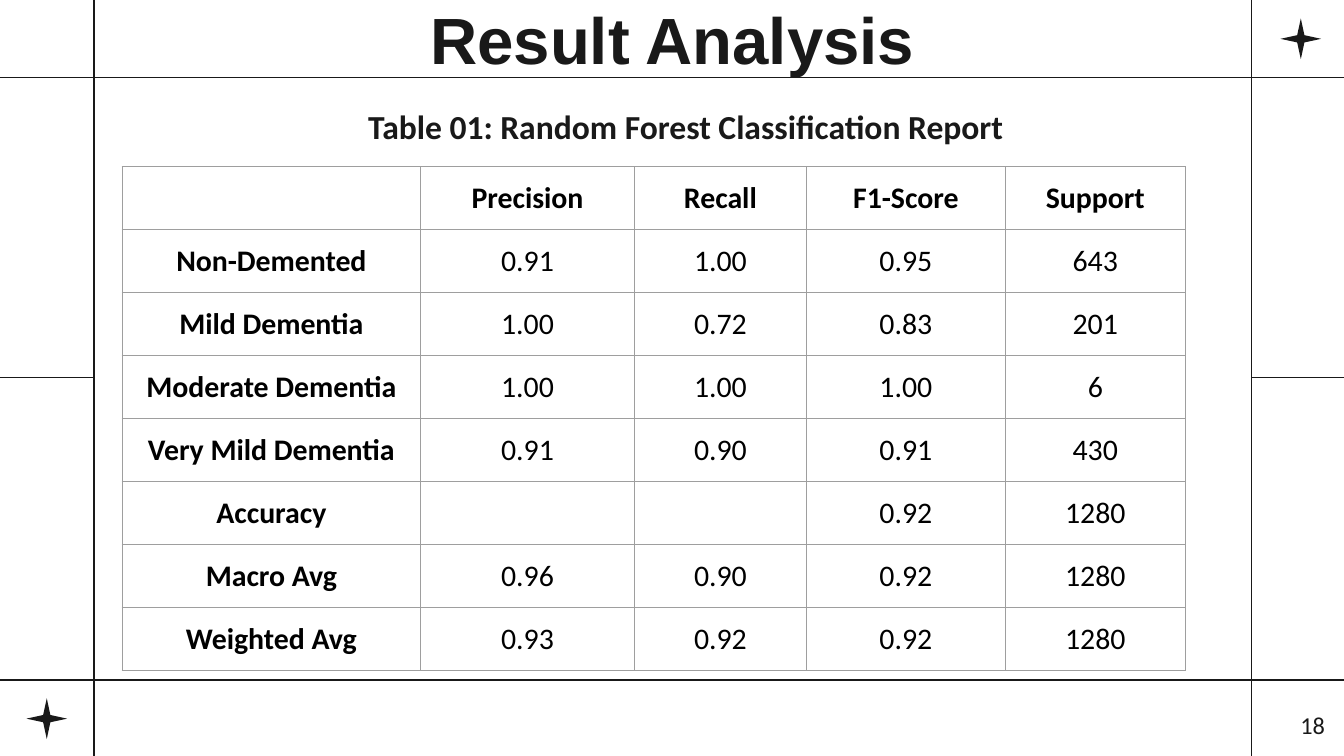
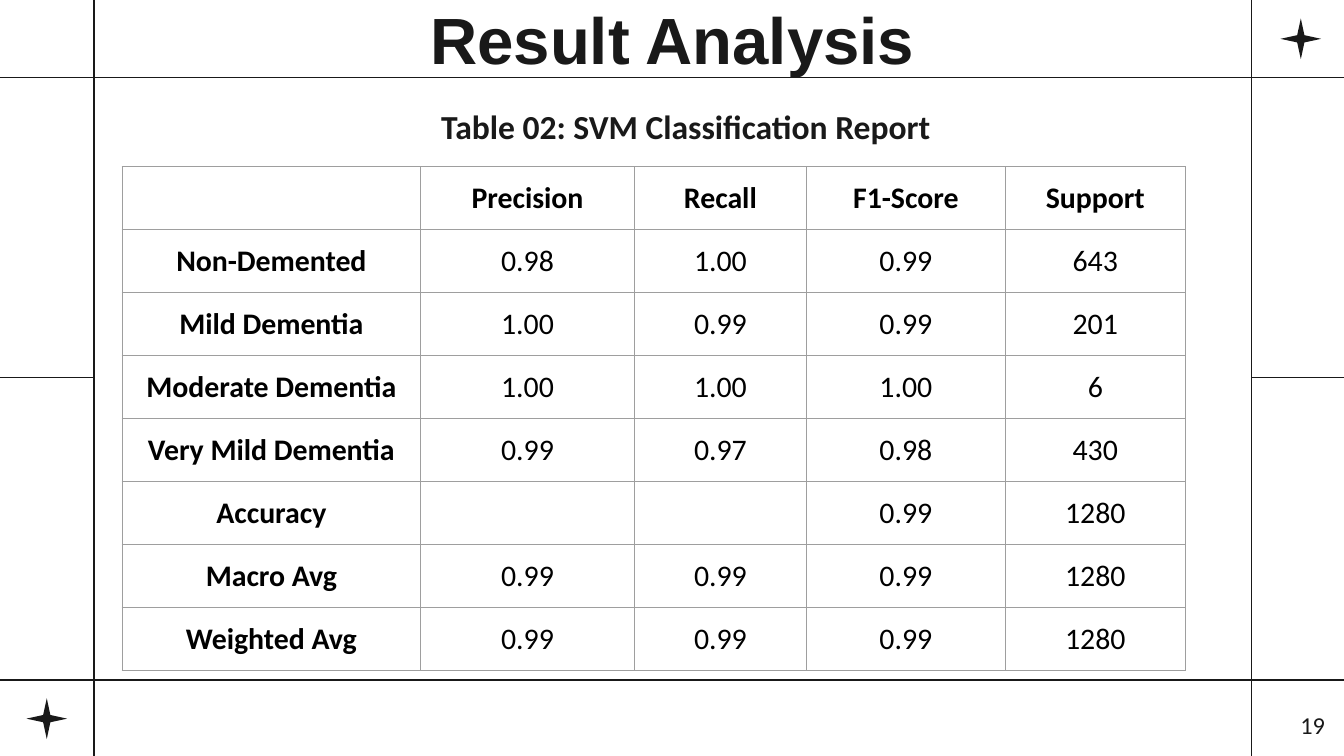
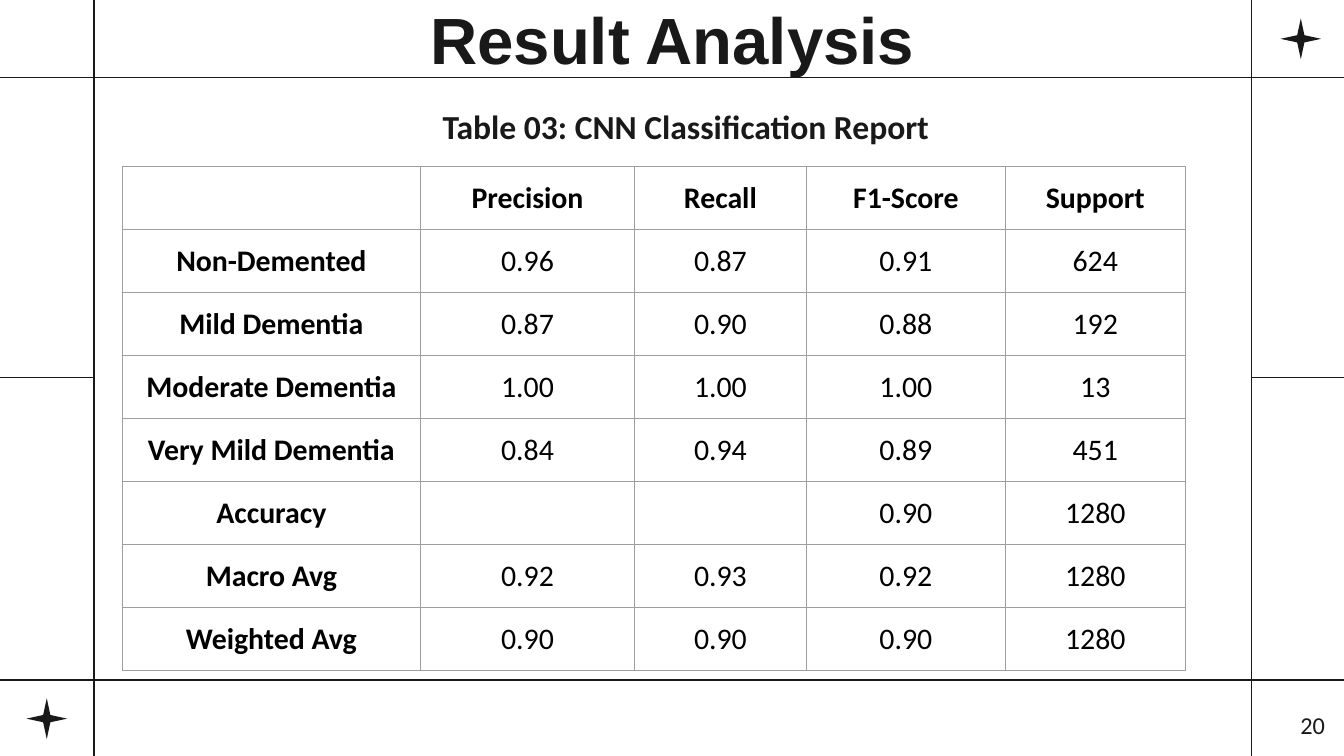
from lxml import etree
from pptx import Presentation
from pptx.dml.color import RGBColor
from pptx.enum.shapes import MSO_CONNECTOR, MSO_SHAPE
from pptx.enum.text import MSO_ANCHOR, MSO_AUTO_SIZE, PP_ALIGN
from pptx.oxml.ns import qn
from pptx.util import Cm, Pt

CENTER = PP_ALIGN.CENTER
RIGHT = PP_ALIGN.RIGHT
MIDDLE = MSO_ANCHOR.MIDDLE
TOP = MSO_ANCHOR.TOP
NO_AUTOFIT = MSO_AUTO_SIZE.NONE
STRAIGHT = MSO_CONNECTOR.STRAIGHT
STAR = MSO_SHAPE.STAR_4_POINT

INK = "191919"
BLACK = "000000"
GRID = "9E9E9E"
WHITE = "FFFFFF"
HEADING_FONT = "Arial"
BODY_FONT = "Calibri"

WIDTH, HEIGHT = 25.4, 14.29
LEFT_RULE, RIGHT_RULE = 1.78, 23.65
TOP_RULE, MIDDLE_RULE, BOTTOM_RULE = 1.47, 7.14, 12.85
FRAME_LINES = [
    (LEFT_RULE, 0, LEFT_RULE, HEIGHT),
    (RIGHT_RULE, 0, RIGHT_RULE, HEIGHT),
    (0, TOP_RULE, WIDTH, TOP_RULE),
    (0, MIDDLE_RULE, LEFT_RULE, MIDDLE_RULE),
    (RIGHT_RULE, MIDDLE_RULE, WIDTH, MIDDLE_RULE),
    (0, BOTTOM_RULE, WIDTH, BOTTOM_RULE),
]
STAR_CORNERS = [(24.2, 0.35), (0.5, 13.2)]
STAR_SIZE = 0.77
INSET = 0.25

COLUMN_WIDTHS = [5.64, 4.04, 3.25, 3.76, 3.4]
ROW_HEIGHT = 1.07
HEADINGS = ["", "Precision", "Recall", "F1-Score", "Support"]
ROW_LABELS = [
    "Non-Demented", "Mild Dementia", "Moderate Dementia", "Very Mild Dementia",
    "Accuracy", "Macro Avg", "Weighted Avg",
]
FIRST_PAGE_NUMBER = 18
REPORTS = [
    ("Table 01: Random Forest Classification Report", [
        ["0.91", "1.00", "0.95", "643"],
        ["1.00", "0.72", "0.83", "201"],
        ["1.00", "1.00", "1.00", "6"],
        ["0.91", "0.90", "0.91", "430"],
        ["", "", "0.92", "1280"],
        ["0.96", "0.90", "0.92", "1280"],
        ["0.93", "0.92", "0.92", "1280"],
    ]),
    ("Table 02: SVM Classification Report", [
        ["0.98", "1.00", "0.99", "643"],
        ["1.00", "0.99", "0.99", "201"],
        ["1.00", "1.00", "1.00", "6"],
        ["0.99", "0.97", "0.98", "430"],
        ["", "", "0.99", "1280"],
        ["0.99", "0.99", "0.99", "1280"],
        ["0.99", "0.99", "0.99", "1280"],
    ]),
    ("Table 03: CNN Classification Report", [
        ["0.96", "0.87", "0.91", "624"],
        ["0.87", "0.90", "0.88", "192"],
        ["1.00", "1.00", "1.00", "13"],
        ["0.84", "0.94", "0.89", "451"],
        ["", "", "0.90", "1280"],
        ["0.92", "0.93", "0.92", "1280"],
        ["0.90", "0.90", "0.90", "1280"],
    ]),
]


def color(value):
    return RGBColor.from_string(value)


def set_insets(target):
    target.margin_left = target.margin_right = Cm(INSET)
    target.margin_top = target.margin_bottom = Cm(INSET)


def write(frame, text, size, bold=False, align=CENTER, font=BODY_FONT, ink=INK):
    para = frame.paragraphs[0]
    para.alignment = align
    if not text:
        etree.SubElement(para._p, qn("a:endParaRPr"), sz=str(size * 100))
        return
    span = para.add_run()
    span.text = text
    span.font.size = Pt(size)
    span.font.bold = bold
    span.font.name = font
    span.font.color.rgb = color(ink)


def prepare_frame(box, anchor=TOP):
    frame = box.text_frame
    frame.word_wrap = True
    frame.auto_size = NO_AUTOFIT
    frame.vertical_anchor = anchor
    set_insets(frame)
    return frame


def add_frame_lines(page):
    for ends in FRAME_LINES:
        line = page.shapes.add_connector(STRAIGHT, *map(Cm, ends))
        line.line.color.rgb = color(INK)
        line.line.width = Pt(0.75)
        etree.SubElement(line._element.spPr, qn("a:effectLst"))


def add_stars(page):
    for left, top in STAR_CORNERS:
        star = page.shapes.add_shape(
            STAR, Cm(left), Cm(top), Cm(STAR_SIZE), Cm(STAR_SIZE))
        star.adjustments[0] = 0.125
        star.shadow.inherit = False
        star.fill.solid()
        star.fill.fore_color.rgb = color(INK)
        star.line.fill.background()


def set_title(page, text):
    title = page.shapes.title
    title.left, title.top = Cm(4.8), Cm(-0.03)
    title.width, title.height = Cm(15.82), Cm(1.5)
    write(prepare_frame(title, MIDDLE), text, 35, True, font=HEADING_FONT)


def add_text(page, left, top, width, height, text, size, **style):
    box = page.shapes.add_textbox(Cm(left), Cm(top), Cm(width), Cm(height))
    write(prepare_frame(box), text, size, **style)


def set_borders(cell):
    properties = cell._tc.get_or_add_tcPr()
    for side in ("lnL", "lnR", "lnT", "lnB"):
        border = etree.SubElement(properties, qn(f"a:{side}"), w=str(Pt(0.75)))
        fill = etree.SubElement(border, qn("a:solidFill"))
        etree.SubElement(fill, qn("a:srgbClr"), val=GRID)


def add_report_table(page, scores):
    rows = [HEADINGS] + [[label, *row] for label, row in zip(ROW_LABELS, scores)]
    table = page.shapes.add_table(
        len(rows), len(HEADINGS), Cm(2.31), Cm(3.15),
        Cm(sum(COLUMN_WIDTHS)), Cm(ROW_HEIGHT * len(rows))).table
    table.first_row = table.horz_banding = False
    for column, width in zip(table.columns, COLUMN_WIDTHS):
        column.width = Cm(width)
    for row_index, row in enumerate(rows):
        table.rows[row_index].height = Cm(ROW_HEIGHT)
        for column_index, text in enumerate(row):
            cell = table.cell(row_index, column_index)
            set_insets(cell)
            set_borders(cell)
            cell.fill.background()
            is_heading = row_index == 0 or column_index == 0
            write(cell.text_frame, text, 16, is_heading, ink=BLACK)


def add_report_page(deck, number, caption, scores):
    page = deck.slides.add_slide(deck.slide_layouts.get_by_name("Title Only"))
    page.background.fill.solid()
    page.background.fill.fore_color.rgb = color(WHITE)
    add_frame_lines(page)
    add_stars(page)
    set_title(page, "Result Analysis")
    add_report_table(page, scores)
    add_text(page, 4.8, 1.75, 16.33, 1.27, caption, 18, bold=True)
    add_text(page, 23.77, 13.18, 1.52, 1.09, str(number), 13, align=RIGHT)


def main():
    deck = Presentation()
    deck.slide_width, deck.slide_height = Cm(WIDTH), Cm(HEIGHT)
    for number, (caption, scores) in enumerate(REPORTS, FIRST_PAGE_NUMBER):
        add_report_page(deck, number, caption, scores)
    deck.save("out.pptx")


if __name__ == "__main__":
    main()
